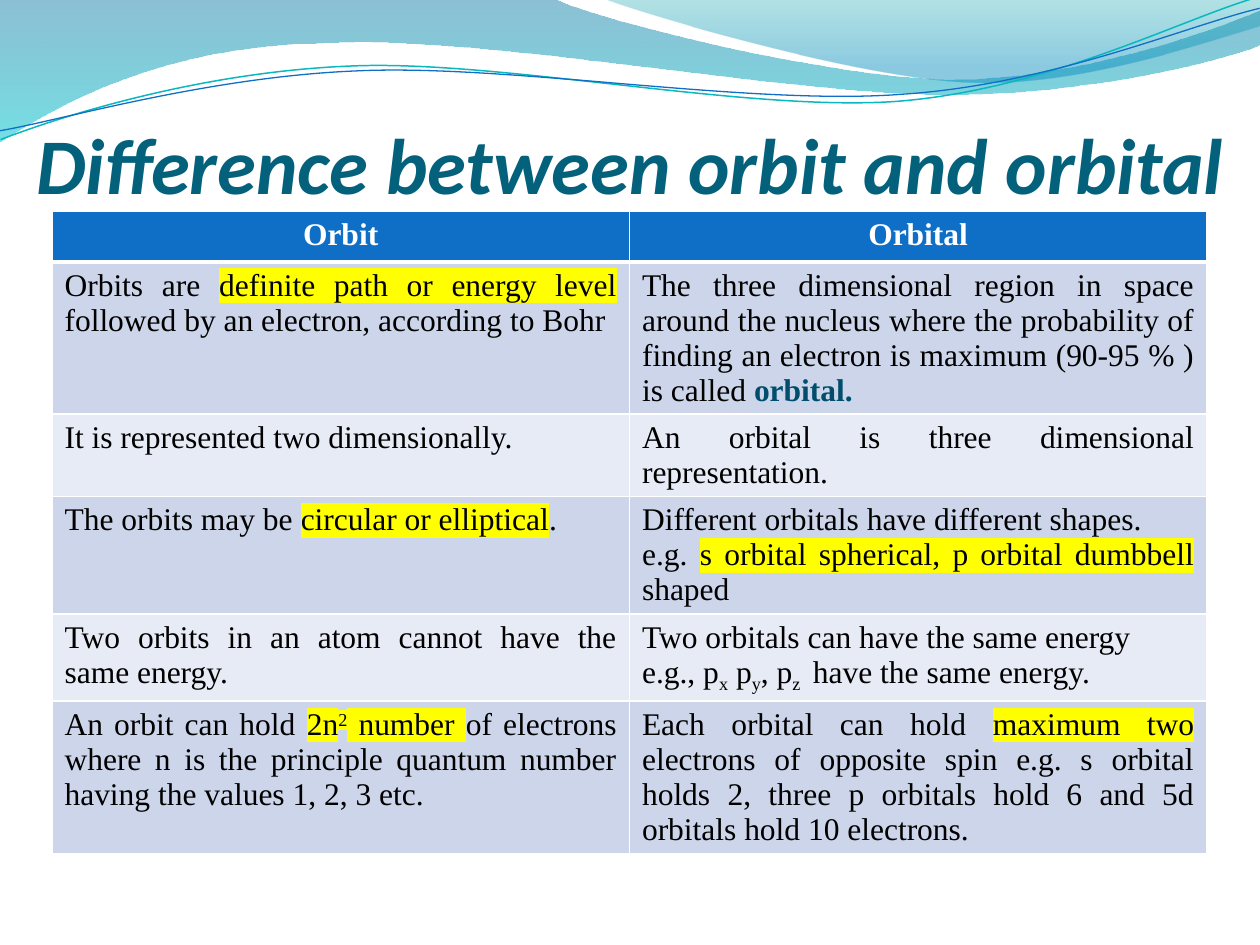
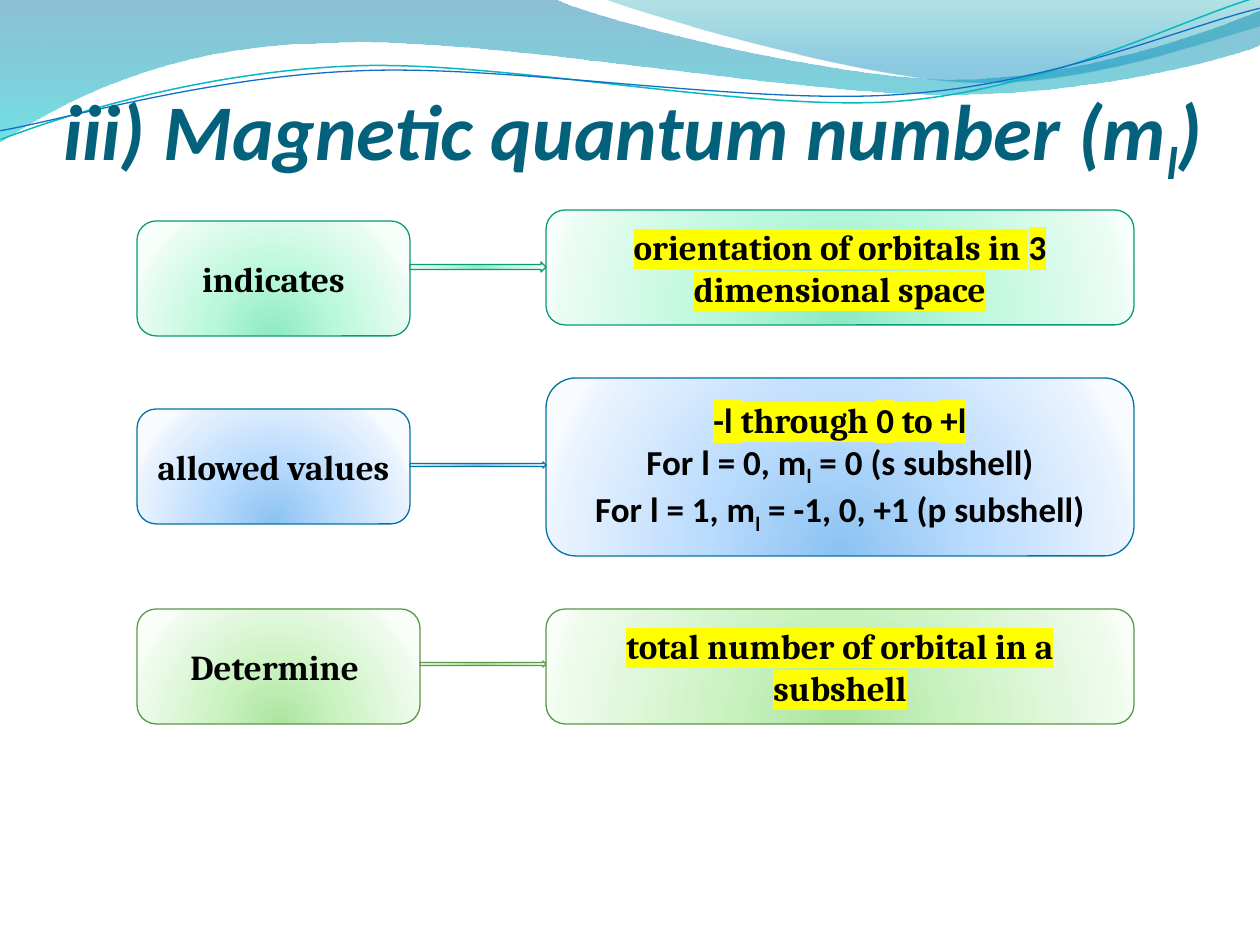
from lxml import etree
from pptx import Presentation
from pptx.dml.color import RGBColor
from pptx.enum import shapes, text
from pptx.oxml import ns, parse_xml
from pptx import util as u

COLORS = {
    "title": "04617B", "text": "000000", "accent": "004E6C", "white": "FFFFFF",
    "mark": "FFFF00", "header": "0F6FC6", "odd": "CCD5EA", "even": "E7EBF5",
    "teal_line": "0AB8BF", "blue_line": "0F6FC6",
}
THEMES = {
    "mint": ("0A9B74", ["8DEAC2", "BAF8DB", "EAFCF3", "F7FFFB"]),
    "sky": ("0074A1", ["8BC2F1", "B9DBFD", "EAF3FE", "F8FBFF"]),
    "leaf": ("5B9747", ["ACE49F", "CDF3C4", "EFFBED", "F9FFF8"]),
}
GLOW_STOPS = [0, 43, 93, 100]
WIDTH, HEIGHT = 1260, 945

BANDS = [
    ([(0, 0), (554, -1), (600, 21, 837, 79, 955, 79), (1075, 79, 1207, 33, 1260, 11),
      (1261, 45), (1239, 55, 1096, 96, 940, 94), (784, 94, 481, 35, 324, 43),
      (163, 45, 58, 105, -1, 142)],
     [(0, "0074A1", 45), (100, "00C6CF", 55)]),
    ([(604, -1), (641, 14, 859, 78, 969, 82), (1079, 87, 1211, 40, 1260, 26), (1260, 0)],
     [(0, "00A1A9", 30), (80, "008BBF", 45)]),
]
WAVE_ROTATION = 357.3
WAVES = [
    ([(-2, 110), (58, 90, 199, 52, 350, 53), (499, 53, 745, 118, 896, 114),
      (1048, 109, 1184, 45, 1260, 27)], "teal_line", 0.85),
    ([(-2, 101), (57, 94, 207, 57, 357, 58), (509, 58, 750, 112, 902, 107),
      (1052, 104, 1188, 52, 1262, 38)], "blue_line", 0.75),
]

ORBIT_TITLE = [("Difference between orbit and orbital",)]
MAGNETIC_TITLE = [("iii) Magnetic quantum number (m",), ("l", "sub"), (")",)]

TABLE_BOX = (52, 211, 1155, 682)
ROW_HEIGHT = 51
TABLE_ROWS = [
    ([[("Orbit",)]], [[("Orbital",)]]),
    ([[("Orbits are ",), ("definite path or energy level ", "mark"),
       ("followed by an electron, according to Bohr",)]],
     [[("The three dimensional region in space around the nucleus where the probability "
        "of finding an electron is maximum (90-95 % ) is called ",),
       ("orbital.", "accent")]]),
    ([[("It is represented two dimensionally.",)]],
     [[("An orbital is three dimensional representation.",)]]),
    ([[("The orbits may be ",), ("circular or elliptical", "mark"), (".",)]],
     [[("Different orbitals have different shapes.",)],
      [("e.g. ",), ("s orbital spherical, p orbital dumbbell ", "mark"), ("shaped",)]]),
    ([[("Two orbits in an atom cannot have the same energy.",)]],
     [[("Two orbitals can have the same energy ",)],
      [("e.g., p",), ("x", "sub"), (" p",), ("y", "sub"), (", p",), ("z ", "sub"),
       (" have the same energy.",)]]),
    ([[("An orbit can hold ",), ("2n", "mark"), ("2", "mark", "sup"), (" number ", "mark"),
       ("of electrons where n is the principle quantum number having the values "
        "1, 2, 3 etc.",)]],
     [[("Each orbital can hold ",), ("maximum two ", "mark"),
       ("electrons of opposite spin e.g. s orbital holds 2, three p orbitals hold 6 "
        "and 5d orbitals hold 10 electrons.",)]]),
]

LABEL_LEFT, DETAIL_LEFT, DETAIL_WIDTH, BOX_HEIGHT = 137, 546, 588, 115
FACTS = [
    {"theme": "sky", "label": "allowed values", "label_top": 409, "label_width": 273,
     "detail_top": 378, "detail_height": 178, "arrow_top": 462, "arrow_height": 6,
     "detail": [[("-l ", "mark", "calibri"), ("through ", "mark"), ("0", "mark", "calibri"),
                 (" to ", "mark"), ("+l", "mark", "calibri")],
                [("For l = 0, m", "calibri"), ("l", "sub", "calibri"),
                 (" = 0 (s subshell)", "calibri")],
                [("For l = 1, m", "calibri"), ("l", "sub", "calibri"),
                 (" = -1, 0, +1 (p subshell)", "calibri")]]},
    {"theme": "mint", "label": "indicates", "label_top": 221, "label_width": 273,
     "detail_top": 210, "detail_height": BOX_HEIGHT, "arrow_top": 262, "arrow_height": 10,
     "detail": [[("orientation of orbitals in ", "mark"), ("3 ", "mark", "calibri"),
                 ("dimensional space", "mark")]]},
    {"theme": "leaf", "label": "Determine ", "label_top": 609, "label_width": 283,
     "detail_top": 609, "detail_height": BOX_HEIGHT, "arrow_top": 661, "arrow_height": 6,
     "detail": [[("total number of orbital in a subshell", "mark")]]},
]


def px(length):
    return u.Emu(round(length * 914400 / 126))


def rgb(name):
    return RGBColor.from_string(COLORS[name])


def add_paragraphs(frame, paragraphs, align, font, size, color, bold=False, italic=False):
    for index, runs in enumerate(paragraphs):
        paragraph = frame.add_paragraph() if index else frame.paragraphs[0]
        paragraph.alignment = align
        for words, *flags in runs:
            run = paragraph.add_run()
            run.text = words
            run.font.size = u.Pt(size)
            run.font.bold = bold or "accent" in flags
            run.font.italic = italic
            run.font.color.rgb = rgb("accent" if "accent" in flags else color)
            run.font.name = "Calibri" if "calibri" in flags else font
            properties = run._r.get_or_add_rPr()
            if "sub" in flags:
                properties.set("baseline", "-25000")
            if "sup" in flags:
                properties.set("baseline", "30000")
            if "mark" in flags:
                highlight = etree.Element(ns.qn("a:highlight"))
                etree.SubElement(highlight, ns.qn("a:srgbClr"), val=COLORS["mark"])
                properties.find(ns.qn("a:solidFill")).addnext(highlight)


def set_gradient(shape, stops, direction):
    marks = "".join(
        f'<a:gs pos="{pos * 1000}"><a:srgbClr val="{color}">'
        f'<a:alpha val="{alpha * 1000}"/></a:srgbClr></a:gs>'
        for pos, color, alpha in stops)
    gradient = parse_xml(
        f'<a:gradFill {ns.nsdecls("a")} rotWithShape="1"><a:gsLst>{marks}</a:gsLst>'
        f'{direction}</a:gradFill>')
    shape.fill.gradient()
    properties = shape.element.spPr
    properties.replace(properties.find(ns.qn("a:gradFill")), gradient)


def add_curve(slide, steps, close):
    first, *others = [(px(step[-2]), px(step[-1])) for step in steps]
    builder = slide.shapes.build_freeform(*first, scale=1.0)
    builder.add_line_segments(others, close=close)
    shape = builder.convert_to_shape()
    shape.shadow.inherit = False
    segments = list(shape.element.iter(ns.qn("a:lnTo")))
    for step, segment in zip(steps[1:], segments):
        if len(step) == 6:
            points = "".join(
                f'<a:pt x="{px(x) - shape.left}" y="{px(y) - shape.top}"/>'
                for x, y in zip(step[::2], step[1::2]))
            segment.getparent().replace(segment, parse_xml(
                f'<a:cubicBezTo {ns.nsdecls("a")}>{points}</a:cubicBezTo>'))
    return shape


def add_waves_to_master(slide, master):
    curves = []
    for steps, stops in BANDS:
        band = add_curve(slide, steps, True)
        set_gradient(band, stops, '<a:lin ang="5400000" scaled="0"/>')
        band.line.fill.background()
        curves.append(band)
    for steps, color, weight in WAVES:
        wave = add_curve(slide, steps, False)
        wave.rotation = WAVE_ROTATION
        wave.fill.background()
        wave.line.color.rgb = rgb(color)
        wave.line.width = u.Pt(weight)
        curves.append(wave)
    for curve in curves:
        master.shapes.element.append(curve.element)


def set_title(slide, runs, box, align):
    title = slide.shapes.title
    title.left, title.top, title.width, title.height = map(px, box)
    frame = title.text_frame
    frame.word_wrap = True
    frame.auto_size = text.MSO_AUTO_SIZE.NONE
    frame.vertical_anchor = text.MSO_ANCHOR.BOTTOM
    frame.margin_left = frame.margin_right = frame.margin_bottom = 0
    frame.margin_top = px(6)
    add_paragraphs(frame, [runs], align, "Calibri", 45, "title", bold=True, italic=True)


def set_borders(cell, row_index):
    heavy = {"lnT": row_index == 1, "lnB": row_index == 0}
    for position, side in enumerate(("lnL", "lnR", "lnT", "lnB")):
        width = u.Pt(3 if heavy.get(side) else 1)
        border = parse_xml(
            f'<a:{side} {ns.nsdecls("a")} w="{width}"><a:solidFill>'
            f'<a:srgbClr val="{COLORS["white"]}"/></a:solidFill></a:{side}>')
        cell._tc.get_or_add_tcPr().insert(position, border)


def add_comparison(slide):
    frame = slide.shapes.add_table(len(TABLE_ROWS), 2, *map(px, TABLE_BOX))
    table = frame.table
    for row_index, row in enumerate(TABLE_ROWS):
        table.rows[row_index].height = px(ROW_HEIGHT)
        header = row_index == 0
        fill = "header" if header else ("odd" if row_index % 2 else "even")
        align = text.PP_ALIGN.CENTER if header else text.PP_ALIGN.JUSTIFY
        for column_index, paragraphs in enumerate(row):
            cell = table.cell(row_index, column_index)
            cell.fill.solid()
            cell.fill.fore_color.rgb = rgb(fill)
            set_borders(cell, row_index)
            add_paragraphs(cell.text_frame, paragraphs, align, "Times New Roman", 18,
                           "white" if header else "text", bold=header)
    frame.height = px(TABLE_BOX[3])


def add_glowing_shape(slide, kind, box, theme, paragraphs=()):
    line, tints = THEMES[theme]
    shape = slide.shapes.add_shape(kind, *map(px, box))
    shape.shadow.inherit = False
    set_gradient(shape, [(pos, tint, 100) for pos, tint in zip(GLOW_STOPS, tints)],
                 '<a:path path="circle"><a:fillToRect l="50000" t="130000" '
                 'r="50000" b="-30000"/></a:path>')
    shape.line.color.rgb = RGBColor.from_string(line)
    shape.line.width = u.Pt(0.75)
    shape.text_frame.word_wrap = True
    shape.text_frame.vertical_anchor = text.MSO_ANCHOR.MIDDLE
    add_paragraphs(shape.text_frame, paragraphs, text.PP_ALIGN.CENTER, "Cambria", 20,
                   "text", bold=True)


def add_fact(slide, fact):
    box_kind = shapes.MSO_SHAPE.ROUNDED_RECTANGLE
    label_right = LABEL_LEFT + fact["label_width"]
    add_glowing_shape(slide, box_kind,
                      (LABEL_LEFT, fact["label_top"], fact["label_width"], BOX_HEIGHT),
                      fact["theme"], [[(fact["label"],)]])
    add_glowing_shape(slide, box_kind,
                      (DETAIL_LEFT, fact["detail_top"], DETAIL_WIDTH, fact["detail_height"]),
                      fact["theme"], fact["detail"])
    add_glowing_shape(slide, shapes.MSO_SHAPE.RIGHT_ARROW,
                      (label_right, fact["arrow_top"], DETAIL_LEFT - label_right,
                       fact["arrow_height"]), fact["theme"])


def main():
    presentation = Presentation()
    presentation.slide_width, presentation.slide_height = px(WIDTH), px(HEIGHT)
    layout = presentation.slide_layouts[5]

    orbit_slide = presentation.slides.add_slide(layout)
    add_waves_to_master(orbit_slide, presentation.slide_master)
    set_title(orbit_slide, ORBIT_TITLE, (0, 94, WIDTH, 116), text.PP_ALIGN.CENTER)
    add_comparison(orbit_slide)

    magnetic_slide = presentation.slides.add_slide(layout)
    set_title(magnetic_slide, MAGNETIC_TITLE, (63, 32, 1144, 157), text.PP_ALIGN.LEFT)
    for fact in FACTS:
        add_fact(magnetic_slide, fact)

    presentation.save("out.pptx")


if __name__ == "__main__":
    main()
